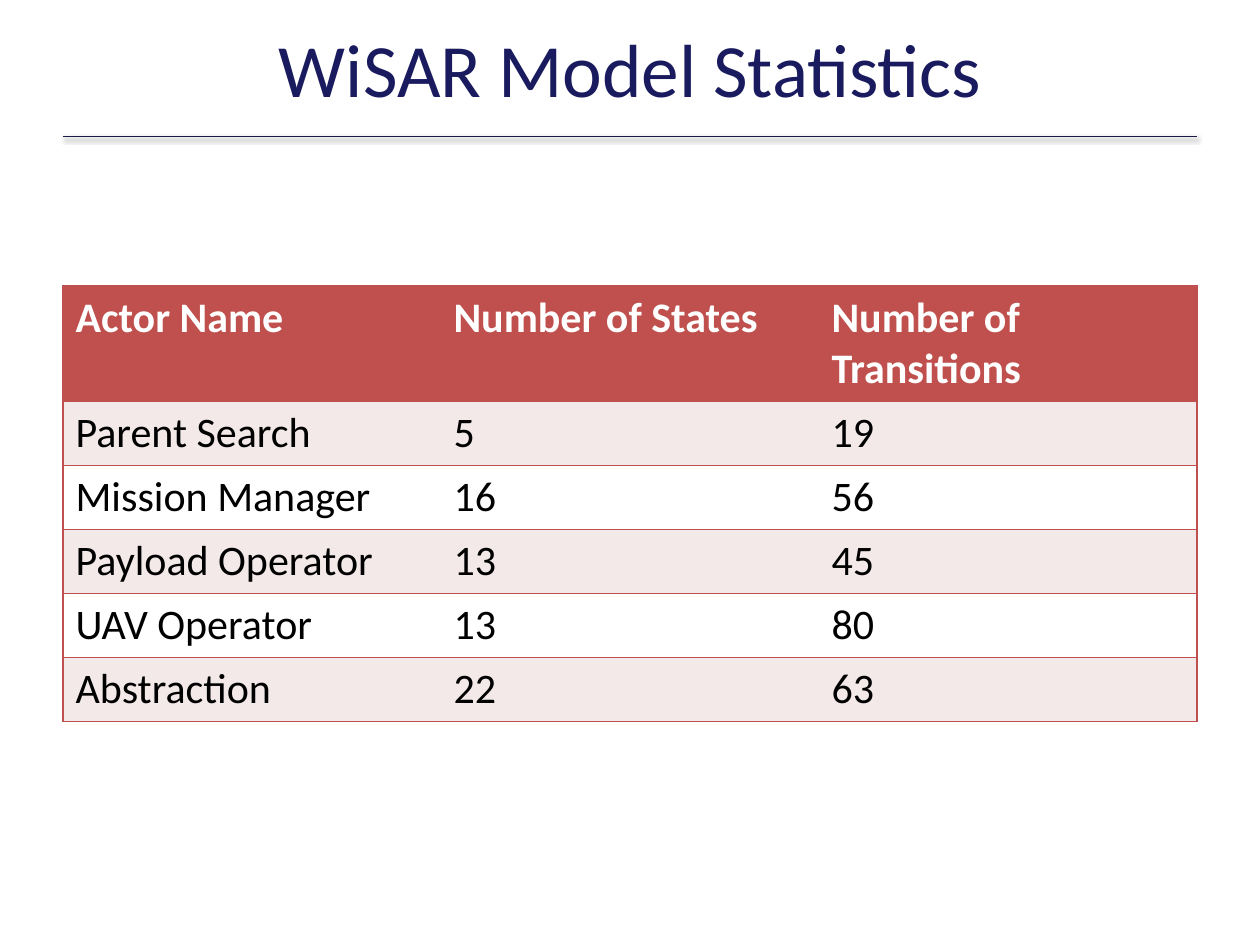
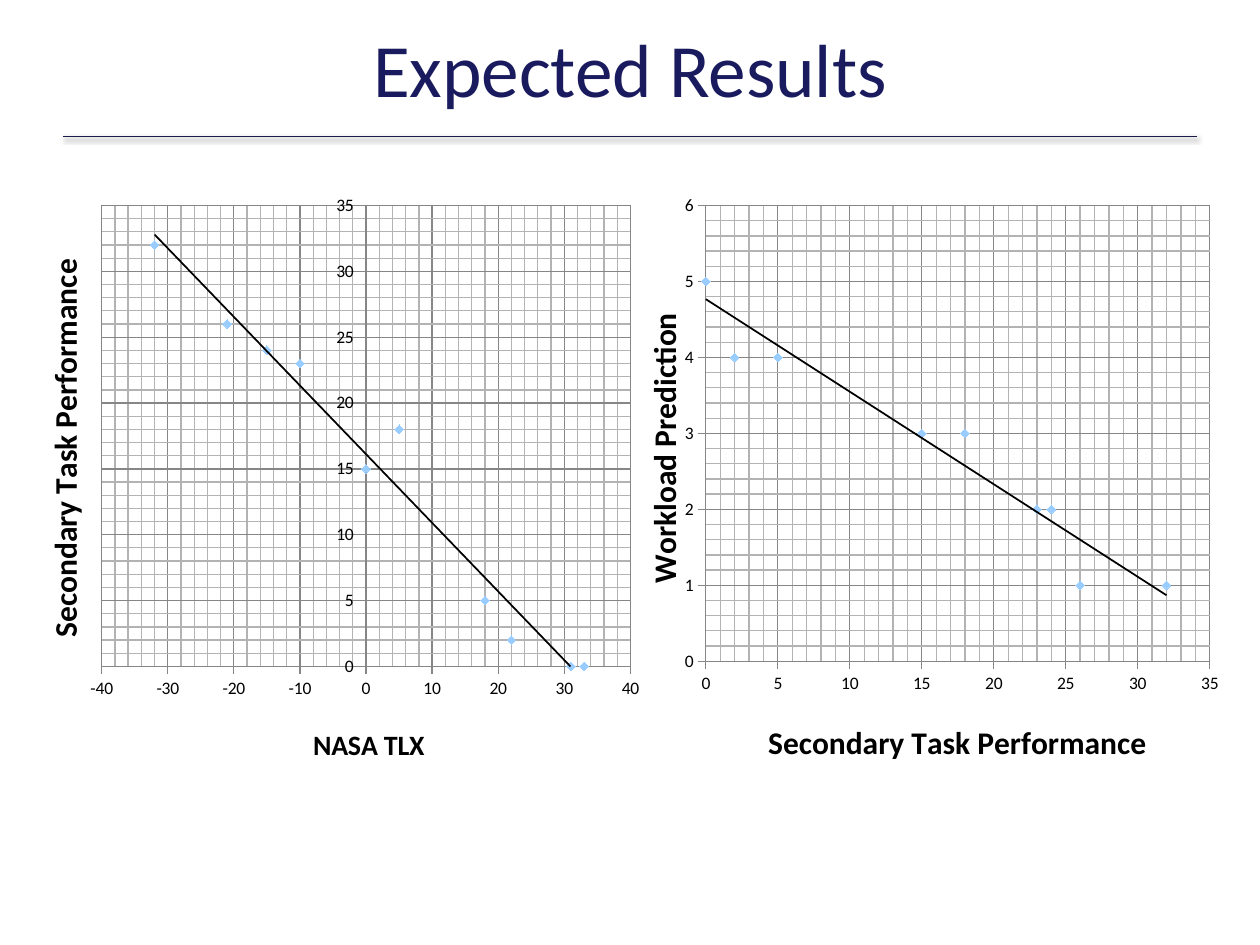
from pptx import Presentation
from pptx.chart.data import XyChartData as XyData
from pptx.dml.color import RGBColor as Rgb
from pptx.enum.chart import XL_CHART_TYPE as Kind, XL_MARKER_STYLE as Mark
from pptx.enum.chart import XL_TICK_MARK as Tick
from pptx.enum.shapes import MSO_CONNECTOR as Conn
from pptx.enum.text import MSO_ANCHOR as Anchor, PP_ALIGN as Align
from pptx.oxml import parse_xml
from pptx.oxml.ns import nsdecls, qn
from pptx.util import Cm, Pt

FONT = "Calibri"
COLORS = {
    "title": "191B5E", "rule": "1A1C47", "head": "C0504D", "band": "F4E9E9",
    "white": "FFFFFF", "black": "000000", "dot": "99CCFF",
    "major": "868686", "minor": "B3B3B3",
}
HUES = {name: Rgb.from_string(code) for name, code in COLORS.items()}
FILLS = {name: f'<a:solidFill><a:srgbClr val="{code}"/></a:solidFill>'
         for name, code in COLORS.items()}


def text(frame, words, size=24, color="black", bold=False, align=None, space=None):
    para = frame.paragraphs[0]
    para.alignment = align
    if space:
        para.line_spacing = Pt(space)
    run = para.add_run()
    run.text = words
    font = run.font
    font.name, font.size, font.bold = FONT, Pt(size), bold
    font.color.rgb = HUES[color]


def xml(tag, inner, attrs=""):
    return parse_xml(f'<{tag} {nsdecls("a", "c")} {attrs}>{inner}</{tag}>')


deck = Presentation()
deck.slide_width, deck.slide_height = Cm(25.4), Cm(19.05)

# Shared title and shadowed rule
slides = []
for title in ("WiSAR Model Statistics", "Expected Results"):
    slide = deck.slides.add_slide(deck.slide_layouts[6])
    slides.append(slide)
    rule = slide.shapes.add_connector(
        Conn.STRAIGHT, Cm(1.27), Cm(2.74), Cm(24.13), Cm(2.74))
    rule.line.color.rgb = HUES["rule"]
    rule.line.width = Pt(0.25)
    rule._element.spPr.append(xml(
        "a:effectLst",
        '<a:outerShdw blurRad="39400" dist="20300" dir="5400000" rotWithShape="0">'
        f'<a:srgbClr val="{COLORS["black"]}"><a:alpha val="38000"/></a:srgbClr>'
        '</a:outerShdw>'))
    box = slide.shapes.add_textbox(Cm(1.27), Cm(0.36), Cm(22.86), Cm(2.39))
    box.text_frame.word_wrap = True
    box.text_frame.vertical_anchor = Anchor.MIDDLE
    text(box.text_frame, title, size=43, color="title", align=Align.CENTER, space=40)

# Actor table
rows = [
    ("Actor Name", "Number of States", "Number of Transitions"),
    ("Parent Search", "5", "19"),
    ("Mission Manager", "16", "56"),
    ("Payload Operator", "13", "45"),
    ("UAV Operator", "13", "80"),
    ("Abstraction", "22", "63"),
]
table = slides[0].shapes.add_table(
    len(rows), 3, Cm(1.27), Cm(5.77), Cm(22.86), Cm(8.77)).table
table.horz_banding = False
for r, row in enumerate(rows):
    table.rows[r].height = Cm(1.29 if r else 2.32)
    for c, words in enumerate(row):
        cell = table.cell(r, c)
        text(cell.text_frame, words, color="black" if r else "white", bold=r == 0)
        edges = {"lnL": c == 0, "lnR": c == 2, "lnT": True, "lnB": True}
        props = cell._tc.get_or_add_tcPr()
        for side, drawn in edges.items():
            props.append(xml(
                f"a:{side}", FILLS["head"] if drawn else "<a:noFill/>", 'w="12700"'))
        cell.fill.solid()
        cell.fill.fore_color.rgb = HUES["head" if r == 0 else "band" if r % 2 else "white"]

# Scatter charts: frame, plot box, points, then each axis as
# title, size, title place, lowest, highest, major step
tasks = [0, 2, 5, 0, 15, 18, 23, 24, 32, 26]
loads = [5, 4, 4, 5, 3, 3, 2, 2, 1, 1]
tlx = [31, 22, 18, 33, 0, 5, -10, -15, -32, -21]
charts = [
    ((0.1, 3.66, 13, 12.07), (0.15, 0.04, 0.82, 0.77), zip(tlx, tasks),
     ("NASA TLX", 16, (0.47, 0.9), -40, 40, 10),
     ("Secondary Task Performance", 18, (0.05, 0.12), 0, 35, 5)),
    ((12.07, 3.66, 12.7, 12.09), (0.17, 0.04, 0.8, 0.76), zip(tasks, loads),
     ("Secondary Task Performance", 18, (0.26, 0.89), 0, 35, 5),
     ("Workload Prediction", 18, (0.06, 0.21), 0, 6, 1)),
]
for frame, plot_box, points, across, up in charts:
    data = XyData()
    series = data.add_series("Series 1")
    for x, y in points:
        series.add_data_point(x, y)
    chart = slides[1].shapes.add_chart(
        Kind.XY_SCATTER, *[Cm(n) for n in frame], data).chart
    chart.has_title = chart.has_legend = False
    chart.font.name, chart.font.size = FONT, Pt(10)
    chart.font.color.rgb = HUES["black"]
    chart._chartSpace.find(qn("c:chart")).addnext(
        xml("c:spPr", "<a:noFill/><a:ln><a:noFill/></a:ln>"))

    # Points and linear trend
    plot = chart.plots[0]
    plot.vary_by_categories = False
    dots = plot.series[0]
    dots.format.line.fill.background()
    dots.marker.style, dots.marker.size = Mark.DIAMOND, 5
    dots.marker.format.fill.solid()
    dots.marker.format.fill.fore_color.rgb = HUES["dot"]
    dots.marker.format.line.fill.background()
    dots._element.find(qn("c:xVal")).addprevious(xml(
        "c:trendline",
        f'<c:spPr><a:ln w="12700">{FILLS["black"]}</a:ln></c:spPr>'
        '<c:trendlineType val="linear"/><c:dispRSqr val="0"/><c:dispEq val="0"/>'))

    # Axes and grids
    places = [(plot._element.getparent(), 0, plot_box)]
    for axis, (label, size, spot, low, high, step) in (
            (chart.category_axis, across), (chart.value_axis, up)):
        axis.minimum_scale, axis.maximum_scale = low, high
        axis.major_unit, axis.minor_unit = step, step / 5
        axis.major_tick_mark, axis.minor_tick_mark = Tick.OUTSIDE, Tick.NONE
        axis.has_major_gridlines = axis.has_minor_gridlines = True
        axis.tick_labels.number_format = "General"
        axis.tick_labels.number_format_is_linked = False
        for part in (axis, axis.major_gridlines):
            part.format.line.color.rgb = HUES["major"]
            part.format.line.width = Pt(0.75)
        axis._element.find(qn("c:minorGridlines")).append(
            xml("c:spPr", f'<a:ln w="9525">{FILLS["minor"]}</a:ln>'))
        text(axis.axis_title.text_frame, label, size=size, bold=True)
        places.append((axis.axis_title._element, 1, spot))

    # Fixed places for the plot and the axis titles
    for part, index, spot in places:
        for old in part.findall(qn("c:layout")):
            part.remove(old)
        inner = '<c:layoutTarget val="inner"/>' if index == 0 else ""
        inner += '<c:xMode val="edge"/><c:yMode val="edge"/>'
        inner += "".join(f'<c:{key} val="{n}"/>' for key, n in zip("xywh", spot))
        part.insert(index, xml("c:layout", f"<c:manualLayout>{inner}</c:manualLayout>"))

deck.save("out.pptx")
